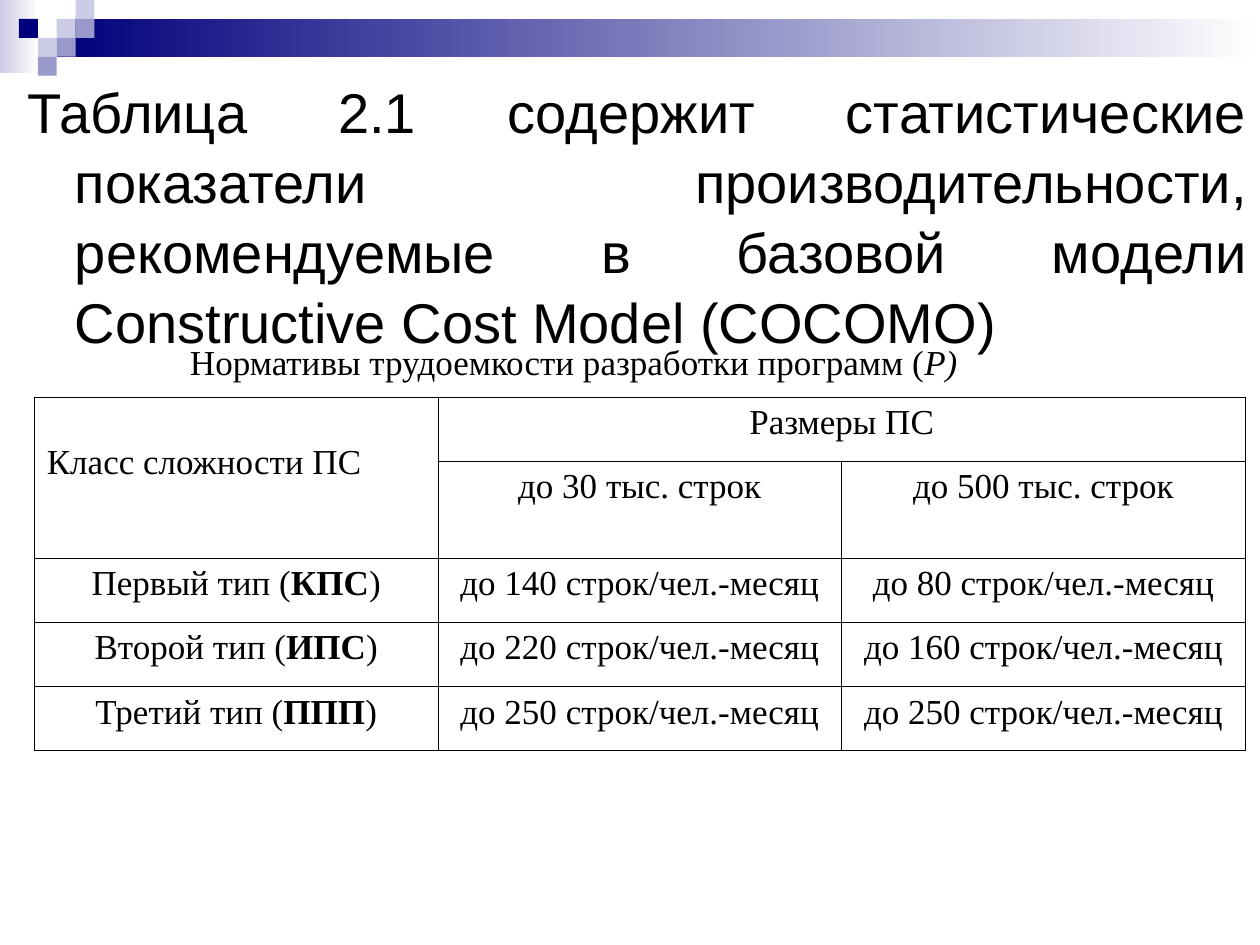
"""Build the slide with the programming effort standards table."""
from dataclasses import dataclass

from lxml import etree
from pptx import Presentation
from pptx.dml.color import RGBColor
from pptx.enum.shapes import MSO_SHAPE
from pptx.enum.text import MSO_ANCHOR, MSO_AUTO_SIZE, PP_ALIGN
from pptx.oxml.ns import qn
from pptx.util import Pt

RECTANGLE = MSO_SHAPE.RECTANGLE
LEFT, CENTER, JUSTIFY = PP_ALIGN.LEFT, PP_ALIGN.CENTER, PP_ALIGN.JUSTIFY
TOP, MIDDLE = MSO_ANCHOR.TOP, MSO_ANCHOR.MIDDLE
NO_AUTOFIT = MSO_AUTO_SIZE.NONE

BLACK = RGBColor(0x00, 0x00, 0x00)
WHITE = RGBColor(0xFF, 0xFF, 0xFF)
NAVY = RGBColor(0x00, 0x00, 0x7D)
LILAC = RGBColor(0xCC, 0xCC, 0xE6)
LAVENDER = RGBColor(0x99, 0x99, 0xCC)

SQUARE = 10.8
BORDER_WIDTH = 0.45
SERIF = "Times New Roman"


@dataclass(frozen=True)
class Band:
    left: float
    top: float
    width: float
    height: float
    color: RGBColor


@dataclass(frozen=True)
class Square:
    column: int
    row: int
    color: RGBColor


@dataclass(frozen=True)
class Entry:
    row: int
    column: int
    text: str
    bold: str = ""
    tail: str = ""
    align: PP_ALIGN = CENTER
    top_margin: float = 3.6


BANDS = (
    Band(0, 0, 22.3, 41.8, LILAC),
    Band(32.4, 10.8, 687.6, 21.6, NAVY),
)
SQUARES = (
    Square(3, 1, LILAC),
    Square(4, 0, LILAC),
    Square(4, 1, LAVENDER),
    Square(2, 2, LILAC),
    Square(1, 1, NAVY),
    Square(3, 2, LAVENDER),
    Square(2, 3, LAVENDER),
)
ROW_HEIGHTS = (36.7, 55.4, 36.7, 36.7, 36.7)
ENTRIES = (
    Entry(0, 0, "Класс сложности ПС", align=LEFT, top_margin=26.6),
    Entry(0, 1, "Размеры ПС"),
    Entry(1, 1, "до 30 тыс. строк"),
    Entry(1, 2, "до 500 тыс. строк"),
    Entry(2, 0, "Первый тип (", "КПС", ")"),
    Entry(2, 1, "до 140 строк/чел.-месяц"),
    Entry(2, 2, "до 80 строк/чел.-месяц"),
    Entry(3, 0, "Второй тип (", "ИПС", ")"),
    Entry(3, 1, "до 220 строк/чел.-месяц"),
    Entry(3, 2, "до 160 строк/чел.-месяц"),
    Entry(4, 0, "Третий тип (", "ППП", ")"),
    Entry(4, 1, "до 250 строк/чел.-месяц"),
    Entry(4, 2, "до 250 строк/чел.-месяц"),
)


def set_font(paragraph, name: str, size: float) -> None:
    """Give a paragraph its black font."""
    paragraph.font.name = name
    paragraph.font.size = Pt(size)
    paragraph.font.color.rgb = BLACK


def add_rectangle(slide, left: float, top: float, width: float, height: float):
    """Add a rectangle without outline and shadow."""
    rectangle = slide.shapes.add_shape(
        RECTANGLE, Pt(left), Pt(top), Pt(width), Pt(height))
    rectangle.shadow.inherit = False
    rectangle.line.fill.background()
    return rectangle


def draw_band(slide, band: Band) -> None:
    """Draw a band that fades to white on the right."""
    fill = add_rectangle(slide, band.left, band.top, band.width, band.height).fill
    fill.gradient()
    fill.gradient_angle = 180
    for stop, color in zip(fill.gradient_stops, (WHITE, band.color)):
        stop.color.rgb = color


def draw_square(slide, square: Square) -> None:
    """Draw one square of the corner mosaic."""
    fill = add_rectangle(
        slide, square.column * SQUARE, square.row * SQUARE, SQUARE, SQUARE).fill
    fill.solid()
    fill.fore_color.rgb = square.color


def write_intro(body) -> None:
    """Place the body placeholder and write its hanging paragraph."""
    body.left, body.top, body.width, body.height = Pt(8.6), Pt(37.4), Pt(711.4), Pt(502.6)
    frame = body.text_frame
    frame.auto_size = NO_AUTOFIT
    frame.vertical_anchor = TOP
    frame.margin_top = Pt(5.6)
    intro = frame.paragraphs[0]
    intro.text = ("Таблица 2.1 содержит статистические показатели производительности, "
                  "рекомендуемые в базовой модели Constructive Cost Model (COCOMO)")
    properties = intro._p.get_or_add_pPr()
    properties.set("marL", str(Pt(27)))
    properties.set("indent", str(Pt(-27)))
    etree.SubElement(properties, qn("a:buNone"))
    intro.alignment = JUSTIFY
    intro.space_before = Pt(0)
    intro.line_spacing = 1.04
    set_font(intro, "Arial", 32)


def write_caption(slide) -> None:
    """Write the caption above the table."""
    frame = slide.shapes.add_textbox(Pt(101.5), Pt(190.8), Pt(455.8), Pt(31.7)).text_frame
    frame.word_wrap = False
    frame.vertical_anchor = MIDDLE
    caption = frame.paragraphs[0]
    caption.add_run().text = "Нормативы трудоемкости разработки программ ("
    symbol = caption.add_run()
    symbol.text = "P)"
    symbol.font.italic = True
    set_font(caption, SERIF, 20)


def set_borders(cell) -> None:
    """Outline a cell with thin black lines and clear its fill."""
    properties = cell._tc.get_or_add_tcPr()
    for side in ("lnL", "lnR", "lnT", "lnB"):
        line = etree.SubElement(properties, qn(f"a:{side}"), w=str(Pt(BORDER_WIDTH)))
        solid = etree.SubElement(line, qn("a:solidFill"))
        etree.SubElement(solid, qn("a:srgbClr"), val=str(BLACK))
    cell.fill.background()


def write_entry(table, entry: Entry) -> None:
    """Write one table cell, with an optional bold part."""
    cell = table.cell(entry.row, entry.column)
    cell.margin_top = Pt(entry.top_margin)
    paragraph = cell.text_frame.paragraphs[0]
    paragraph.alignment = entry.align
    for text in filter(None, (entry.text, entry.bold, entry.tail)):
        run = paragraph.add_run()
        run.text = text
        run.font.bold = text == entry.bold
    set_font(paragraph, SERIF, 20)


def draw_standards(slide) -> None:
    """Draw the table of effort standards."""
    table = slide.shapes.add_table(
        len(ROW_HEIGHTS), 3, Pt(19.6), Pt(226.8), Pt(692.1), Pt(sum(ROW_HEIGHTS))).table
    table.first_row = False
    table.horz_banding = False
    for row, height in zip(table.rows, ROW_HEIGHTS):
        row.height = Pt(height)
    for cell in table.iter_cells():
        set_borders(cell)
    table.cell(0, 0).merge(table.cell(1, 0))
    table.cell(0, 1).merge(table.cell(0, 2))
    for entry in ENTRIES:
        write_entry(table, entry)


def main() -> None:
    """Build and save the presentation."""
    presentation = Presentation()
    presentation.slide_width, presentation.slide_height = Pt(720), Pt(540)
    slide = presentation.slides.add_slide(presentation.slide_layouts[1])
    title = slide.shapes.title.element
    title.getparent().remove(title)
    for band in BANDS:
        draw_band(slide, band)
    for square in SQUARES:
        draw_square(slide, square)
    body = slide.placeholders[1]
    body.element.getparent().append(body.element)
    write_intro(body)
    write_caption(slide)
    draw_standards(slide)
    presentation.save("out.pptx")


if __name__ == "__main__":
    main()
